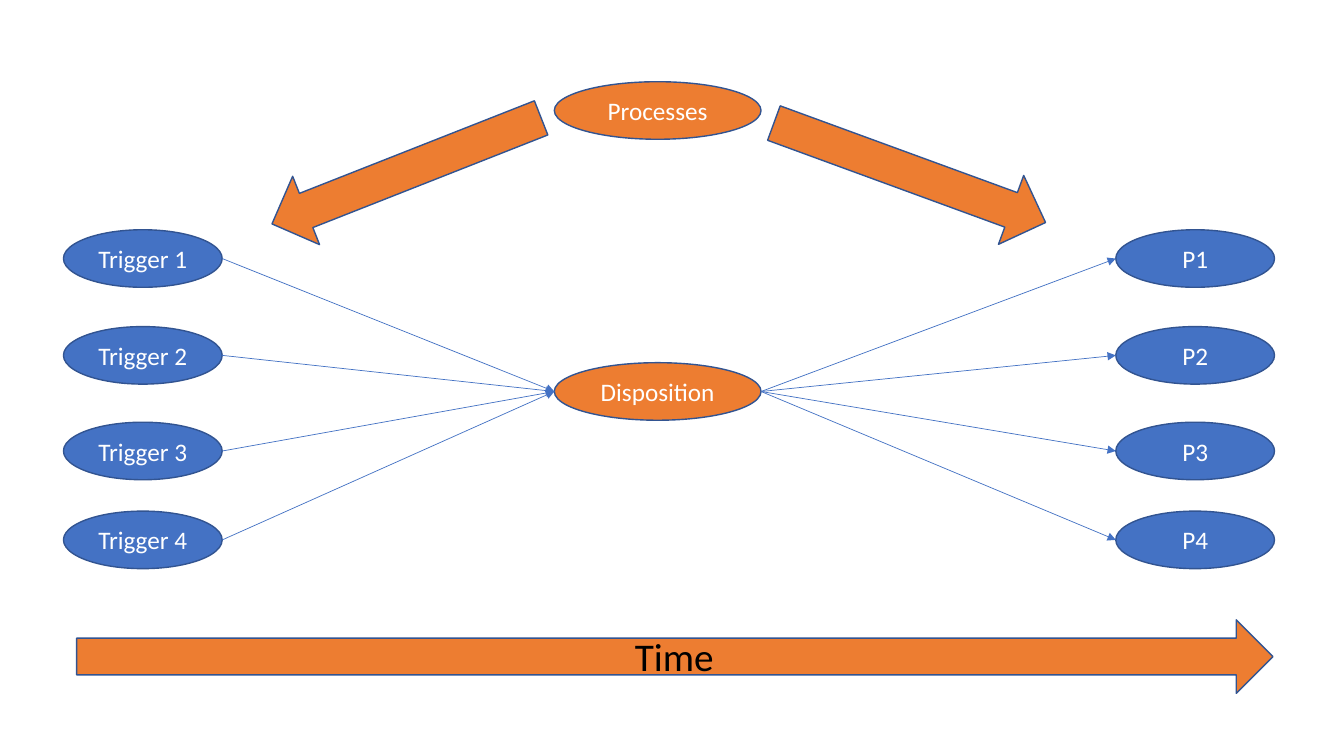
"""Build a slide showing triggers leading through a disposition to processes over time."""
from dataclasses import dataclass

from lxml import etree
from pptx import Presentation
from pptx import util as u
from pptx.dml.color import RGBColor
from pptx.enum import shapes, text
from pptx.oxml.ns import qn


@dataclass(frozen=True)
class Theme:
    orange: RGBColor = RGBColor(0xED, 0x7D, 0x31)
    blue: RGBColor = RGBColor(0x44, 0x72, 0xC4)
    outline: RGBColor = RGBColor(0x32, 0x54, 0x91)
    white: RGBColor = RGBColor(0xFF, 0xFF, 0xFF)
    black: RGBColor = RGBColor(0, 0, 0)
    font: str = "Calibri"
    label_size: u.Pt = u.Pt(18)
    time_size: u.Pt = u.Pt(28)


THEME = Theme()
OVAL_HEIGHT = 1.45
SIDE_WIDTH, CENTRE_WIDTH = 4, 5.21
TRIGGER_LEFT, CENTRE_LEFT, PROCESS_LEFT = 1.6, 13.97, 28.12
ROW_TOPS = (5.79, 8.23, 10.64, 12.88)
ARROW_WIDTH = 1.85


def add_span(para, words, size, color):
    span = para.add_run()
    span.text = words
    span.font.name = THEME.font
    span.font.size = size
    span.font.color.rgb = color


def add_filled(page, kind, left, top, width, height, color):
    shape = page.shapes.add_shape(kind, u.Cm(left), u.Cm(top), u.Cm(width), u.Cm(height))
    shape.shadow.inherit = False
    shape.fill.solid()
    shape.fill.fore_color.rgb = color
    shape.line.color.rgb = THEME.outline
    shape.line.width = u.Pt(1)
    return shape


def add_oval(page, words, left, top, width, color):
    oval = add_filled(page, shapes.MSO_SHAPE.OVAL, left, top, width, OVAL_HEIGHT, color)
    oval.text_frame.vertical_anchor = text.MSO_ANCHOR.MIDDLE
    para = oval.text_frame.paragraphs[0]
    para.alignment = text.PP_ALIGN.CENTER
    add_span(para, words, THEME.label_size, THEME.white)
    return oval


def add_block_arrow(page, left, top, length, rotation):
    arrow = add_filled(page, shapes.MSO_SHAPE.UP_ARROW, left, top, ARROW_WIDTH, length, THEME.orange)
    arrow.rotation = rotation


def add_link(page, source, target):
    link = page.shapes.add_connector(
        shapes.MSO_CONNECTOR.STRAIGHT,
        source.left + source.width, source.top + source.height // 2,
        target.left, target.top + target.height // 2)
    link.line.color.rgb = THEME.blue
    link.line.width = u.Pt(0.5)
    etree.SubElement(link.line._get_or_add_ln(), qn("a:tailEnd"), type="triangle")
    etree.SubElement(link._element.spPr, qn("a:effectLst"))


def add_time_label(page):
    box = page.shapes.add_textbox(u.Cm(15.75), u.Cm(15.82), u.Cm(2.51), u.Cm(1.45))
    box.text_frame.word_wrap = False
    box.text_frame.auto_size = text.MSO_AUTO_SIZE.SHAPE_TO_FIT_TEXT
    add_span(box.text_frame.paragraphs[0], "Time", THEME.time_size, THEME.black)


def main():
    deck = Presentation()
    deck.slide_width, deck.slide_height = u.Cm(33.87), u.Cm(19.05)
    page = deck.slides.add_slide(deck.slide_layouts[6])

    disposition = add_oval(page, "Disposition", CENTRE_LEFT, 9.14, CENTRE_WIDTH, THEME.orange)
    for number, top in enumerate(ROW_TOPS, 1):
        trigger = add_oval(page, f"Trigger {number}", TRIGGER_LEFT, top, SIDE_WIDTH, THEME.blue)
        process = add_oval(page, f"P{number}", PROCESS_LEFT, top, SIDE_WIDTH, THEME.blue)
        add_link(page, trigger, disposition)
        add_link(page, disposition, process)

    add_oval(page, "Processes", CENTRE_LEFT, 2.06, CENTRE_WIDTH, THEME.orange)
    add_block_arrow(page, 22, 0.71, 7.29, 110.1)
    add_block_arrow(page, 9.32, 0.66, 7.29, 248.5)
    add_block_arrow(page, 16.08, 1.47, 30.15, 90)
    add_time_label(page)
    deck.save("out.pptx")


if __name__ == "__main__":
    main()
